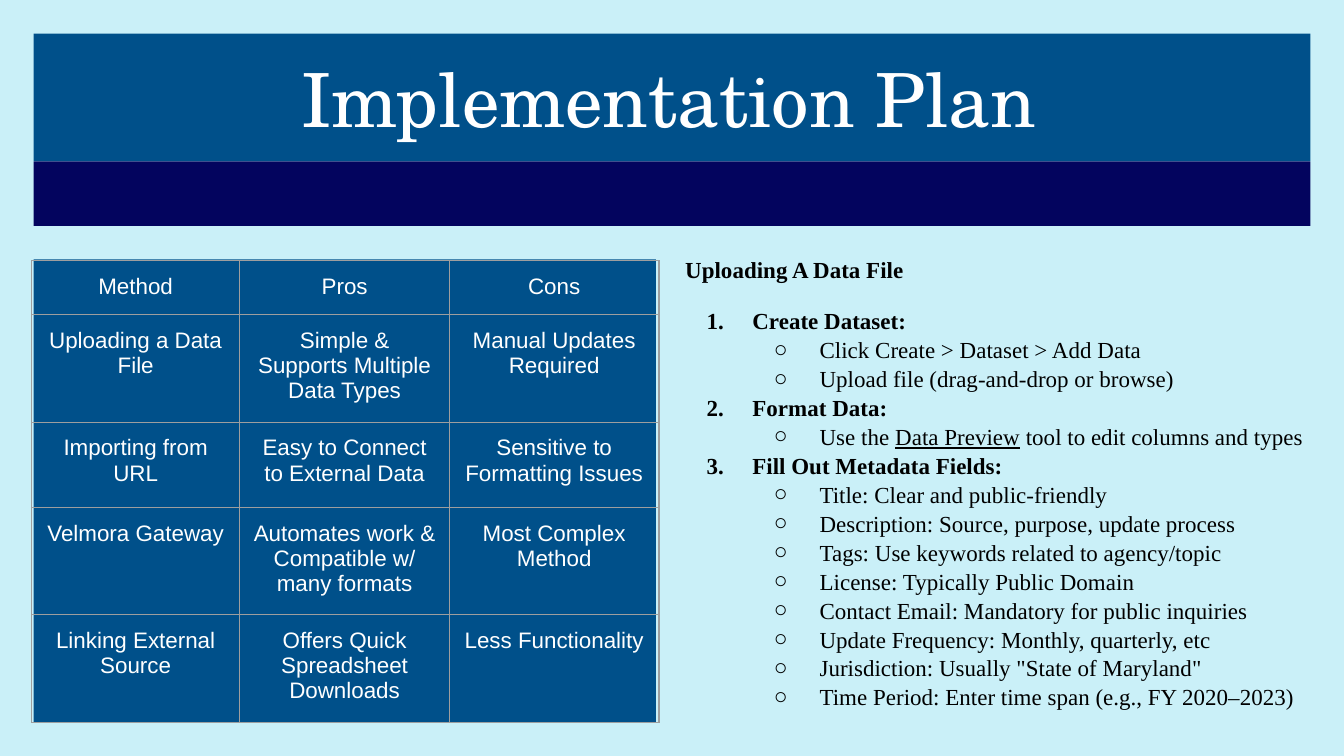
"""Build the Implementation Plan slide with a method table and upload steps."""
from dataclasses import dataclass

from lxml.etree import SubElement
from pptx import Presentation
from pptx.dml.color import RGBColor as RGB
from pptx.enum.shapes import MSO_SHAPE as Shape
from pptx.enum.text import MSO_ANCHOR as Anchor, PP_ALIGN as Align
from pptx.oxml.ns import qn
from pptx.util import Pt


@dataclass(frozen=True)
class Theme:
    sky: str = "CAF0F8"
    blue: str = "00508A"
    navy: str = "03045E"
    white: str = "FFFFFF"
    black: str = "000000"
    grid: str = "9E9E9E"
    title_font: str = "TeX Gyre Schola"
    body_font: str = "Times New Roman"
    table_font: str = "Arial"
    title_size: float = 40
    body_size: float = 12.3
    table_size: float = 12


THEME = Theme()
INSET = 7.2
PANELS = [
    (18, 18, 684, 68.4, THEME.blue),
    (18, 86.4, 684, 34.6, THEME.navy),
    (18, 139, 333.4, 248.2, THEME.blue),
]
COLUMNS = [111.6, 112.3, 112.3]
ROW_HEIGHTS = [27.6, 54.6, 45.6, 54.6, 54.6]
METHODS = [
    ("Method", "Pros", "Cons"),
    ("Uploading a Data File", "Simple & Supports Multiple Data Types", "Manual Updates Required"),
    ("Importing from URL", "Easy to Connect to External Data", "Sensitive to Formatting Issues"),
    ("Velmora Gateway", "Automates work & Compatible w/ many formats", "Most Complex Method"),
    ("Linking External Source", "Offers Quick Spreadsheet Downloads", "Less Functionality"),
]
HEADING = "Uploading A Data File"
UNDERLINED = "Data Preview"
STEPS = [
    ("Create Dataset:", [
        "Click Create > Dataset > Add Data",
        "Upload file (drag-and-drop or browse)",
    ]),
    ("Format Data:", ["Use the Data Preview tool to edit columns and types"]),
    ("Fill Out Metadata Fields:", [
        "Title: Clear and public-friendly",
        "Description: Source, purpose, update process",
        "Tags: Use keywords related to agency/topic",
        "License: Typically Public Domain",
        "Contact Email: Mandatory for public inquiries",
        "Update Frequency: Monthly, quarterly, etc",
        'Jurisdiction: Usually "State of Maryland"',
        "Time Period: Enter time span (e.g., FY 2020–2023)",
    ]),
]


def set_font(font, name, size, color):
    font.name, font.size = name, Pt(size)
    font.color.rgb = RGB.from_string(color)


def set_margins(target):
    target.margin_left = target.margin_right = Pt(INSET)
    target.margin_top = target.margin_bottom = Pt(INSET)


def add_panel(s, left, top, width, height, color):
    sp = s.shapes.add_shape(Shape.RECTANGLE, Pt(left), Pt(top), Pt(width), Pt(height))
    sp.shadow.inherit = False
    sp.fill.solid()
    sp.fill.fore_color.rgb = RGB.from_string(color)
    sp.line.fill.background()


def add_text_box(s, left, top, width, height):
    tf = s.shapes.add_textbox(Pt(left), Pt(top), Pt(width), Pt(height)).text_frame
    tf.word_wrap = True
    set_margins(tf)
    return tf


def add_title(s, text):
    tf = add_text_box(s, 49.7, 18, 617, 68.4)
    tf.vertical_anchor = Anchor.MIDDLE
    p = tf.paragraphs[0]
    p.text = text
    p.alignment = Align.CENTER
    set_font(p.runs[0].font, THEME.title_font, THEME.title_size, THEME.white)


def add_bullet(p, indent, tag, **attributes):
    pPr = p._p.get_or_add_pPr()
    pPr.set("marL", str(Pt(indent)))
    pPr.set("indent", str(Pt(-24.5)))
    color = SubElement(pPr, qn("a:buClr"))
    SubElement(color, qn("a:srgbClr"), val=THEME.black)
    SubElement(pPr, qn("a:buFont"), typeface=THEME.body_font)
    SubElement(pPr, qn(tag), **attributes)


def add_line(p, text, bold=False):
    p.line_spacing = 1.05
    before, found, after = text.partition(UNDERLINED)
    for part in filter(None, (before, found, after)):
        r = p.add_run()
        r.text = part
        set_font(r.font, THEME.body_font, THEME.body_size, THEME.black)
        r.font.bold = bold
        r.font.underline = part == UNDERLINED


def add_steps(s):
    tf = add_text_box(s, 360, 128.9, 364.3, 213.8)
    add_line(tf.paragraphs[0], HEADING, bold=True)
    for i, (step, details) in enumerate(STEPS):
        p = tf.add_paragraph()
        p.space_before = Pt(0 if i else 12)
        add_bullet(p, 36, "a:buAutoNum", type="arabicPeriod")
        add_line(p, step, bold=True)
        for detail in details:
            p = tf.add_paragraph()
            p.level = 1
            p.space_before = Pt(0)
            add_bullet(p, 72, "a:buChar", char="○")
            add_line(p, detail)


def add_borders(cell):
    tcPr = cell._tc.get_or_add_tcPr()
    for side in ("a:lnL", "a:lnR", "a:lnT", "a:lnB"):
        ln = SubElement(tcPr, qn(side), w=str(Pt(0.75)))
        fill = SubElement(ln, qn("a:solidFill"))
        SubElement(fill, qn("a:srgbClr"), val=THEME.grid)


def fill_cell(cell, text):
    add_borders(cell)
    cell.fill.background()
    set_margins(cell)
    p = cell.text_frame.paragraphs[0]
    p.text = text
    p.alignment = Align.CENTER
    set_font(p.runs[0].font, THEME.table_font, THEME.table_size, THEME.white)


def add_method_table(s):
    table = s.shapes.add_table(
        len(METHODS), len(COLUMNS), Pt(16.9), Pt(139.7),
        Pt(sum(COLUMNS)), Pt(sum(ROW_HEIGHTS))).table
    table.first_row = table.horz_banding = False
    for column, width in zip(table.columns, COLUMNS):
        column.width = Pt(width)
    for row, height, texts in zip(table.rows, ROW_HEIGHTS, METHODS):
        row.height = Pt(height)
        for cell, text in zip(row.cells, texts):
            fill_cell(cell, text)


def main():
    prs = Presentation()
    prs.slide_width, prs.slide_height = Pt(720), Pt(405)
    s = prs.slides.add_slide(prs.slide_layouts[6])
    s.background.fill.solid()
    s.background.fill.fore_color.rgb = RGB.from_string(THEME.sky)
    for panel in PANELS:
        add_panel(s, *panel)
    add_title(s, "Implementation Plan")
    add_steps(s)
    add_method_table(s)
    prs.save("out.pptx")


if __name__ == "__main__":
    main()
